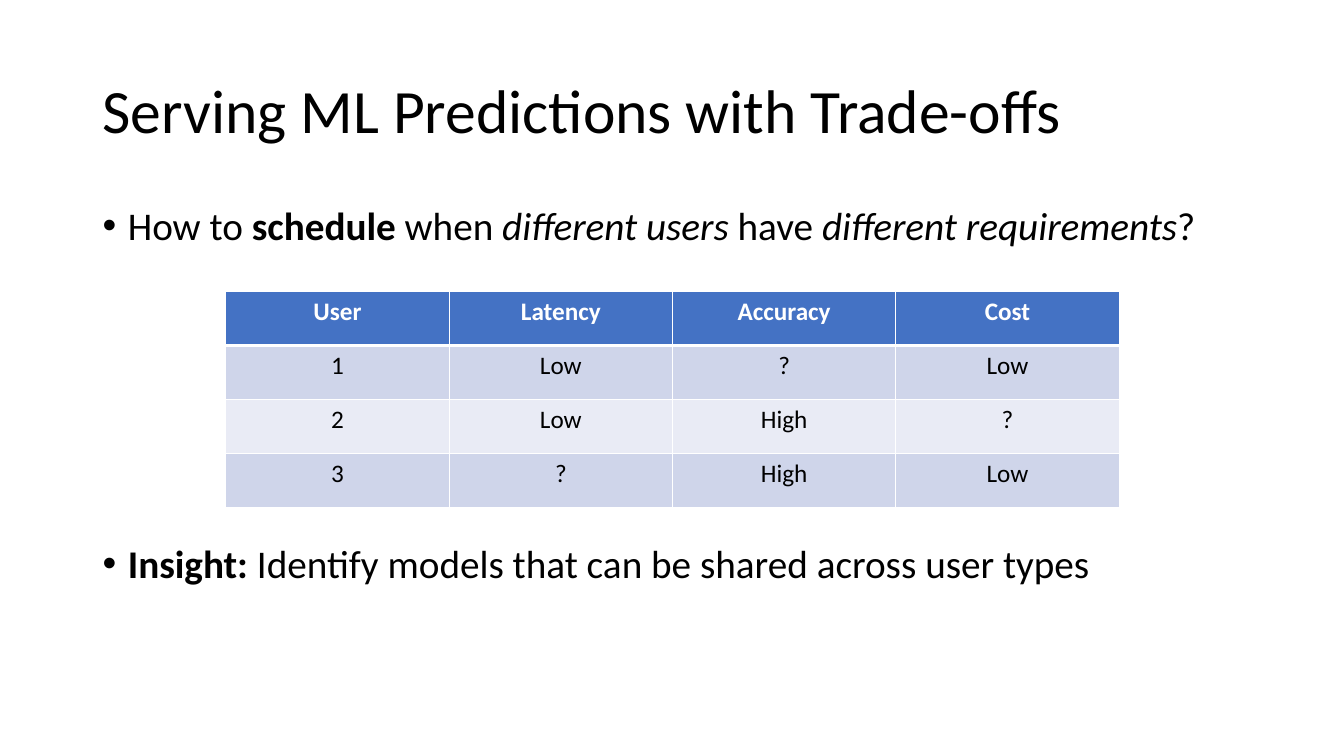
from lxml import etree
from pptx import Presentation
from pptx.dml.color import RGBColor
from pptx.enum.text import MSO_ANCHOR, PP_ALIGN
from pptx.oxml.ns import qn
from pptx.util import Inches, Pt

MIDDLE, TOP = MSO_ANCHOR.MIDDLE, MSO_ANCHOR.TOP
CENTER, LEFT = PP_ALIGN.CENTER, PP_ALIGN.LEFT

FONT = "Calibri"
BLACK, WHITE = "000000", "FFFFFF"
HEADER_FILL = "4472C4"
BAND_FILLS = ["CFD5EA", "E9EBF5"]

TITLE = "Serving ML Predictions with Trade-offs"
# Each bullet: space before in points, then runs of (text, bold, italic)
BULLETS = [
    (10, [("How to ", False, False), ("schedule", True, False),
          (" when ", False, False), ("different users ", False, True),
          ("have ", False, False), ("different requirements", False, True),
          ("?", False, False)]),
    (211, [("Insight: ", True, False),
           ("Identify models that can be shared across user types", False, False)]),
]
REQUIREMENTS = [
    ["User", "Latency", "Accuracy", "Cost"],
    ["1", "Low", "?", "Low"],
    ["2", "Low", "High", "?"],
    ["3", "?", "High", "Low"],
]


def rgb(value):
    return RGBColor.from_string(value)


def add_run(p, text, size, color=BLACK, bold=False, italic=False):
    r = p.add_run()
    r.text = text
    r.font.name, r.font.size = FONT, Pt(size)
    r.font.color.rgb = rgb(color)
    r.font.bold, r.font.italic = bold, italic


def add_text_frame(slide, box, anchor):
    tf = slide.shapes.add_textbox(*map(Inches, box)).text_frame
    tf.word_wrap = True
    tf.vertical_anchor = anchor
    return tf


def add_title(slide, box):
    p = add_text_frame(slide, box, MIDDLE).paragraphs[0]
    p.alignment, p.line_spacing = LEFT, 0.9
    add_run(p, TITLE, 44)


def set_bullet(p, indent):
    pPr = p._p.get_or_add_pPr()
    pPr.set("marL", str(Inches(indent)))
    pPr.set("indent", str(-Inches(indent)))
    etree.SubElement(pPr, qn("a:buFont")).set("typeface", "Arial")
    etree.SubElement(pPr, qn("a:buChar")).set("char", "•")


def add_bullets(slide, box):
    tf = add_text_frame(slide, box, TOP)
    for i, (space, runs) in enumerate(BULLETS):
        p = tf.add_paragraph() if i else tf.paragraphs[0]
        p.alignment, p.line_spacing, p.space_before = LEFT, 0.9, Pt(space)
        set_bullet(p, 0.25)
        for text, bold, italic in runs:
            add_run(p, text, 28, bold=bold, italic=italic)


def set_borders(cell, widths):
    tcPr = cell._tc.get_or_add_tcPr()
    for i, (side, width) in enumerate(widths.items()):
        ln = etree.Element(qn(f"a:ln{side}"), w=str(Pt(width)))
        fill = etree.SubElement(ln, qn("a:solidFill"))
        etree.SubElement(fill, qn("a:srgbClr")).set("val", WHITE)
        tcPr.insert(i, ln)


def add_requirements(slide, box):
    n_rows, n_cols = len(REQUIREMENTS), len(REQUIREMENTS[0])
    left, top, width, height = map(Inches, box)
    table = slide.shapes.add_table(n_rows, n_cols, left, top, width, height).table
    for col in table.columns:
        col.width = width // n_cols
    for i, values in enumerate(REQUIREMENTS):
        table.rows[i].height = height // n_rows
        header = i == 0
        for j, value in enumerate(values):
            cell = table.cell(i, j)
            cell.fill.solid()
            cell.fill.fore_color.rgb = rgb(HEADER_FILL if header else BAND_FILLS[(i - 1) % 2])
            # A thick rule separates the header from the body
            set_borders(cell, {"L": 1, "R": 1, "T": 3 if i == 1 else 1,
                               "B": 3 if header else 1})
            p = cell.text_frame.paragraphs[0]
            p.alignment = CENTER
            add_run(p, value, 18, WHITE if header else BLACK, bold=header)


def main():
    prs = Presentation()
    prs.slide_width, prs.slide_height = Inches(13.33), Inches(7.5)
    slide = prs.slides.add_slide(prs.slide_layouts[6])
    add_title(slide, (0.92, 0.4, 11.5, 1.45))
    add_bullets(slide, (0.92, 2, 11.5, 4.76))
    add_requirements(slide, (2.24, 2.89, 8.86, 2.15))
    prs.save("out.pptx")


if __name__ == "__main__":
    main()
